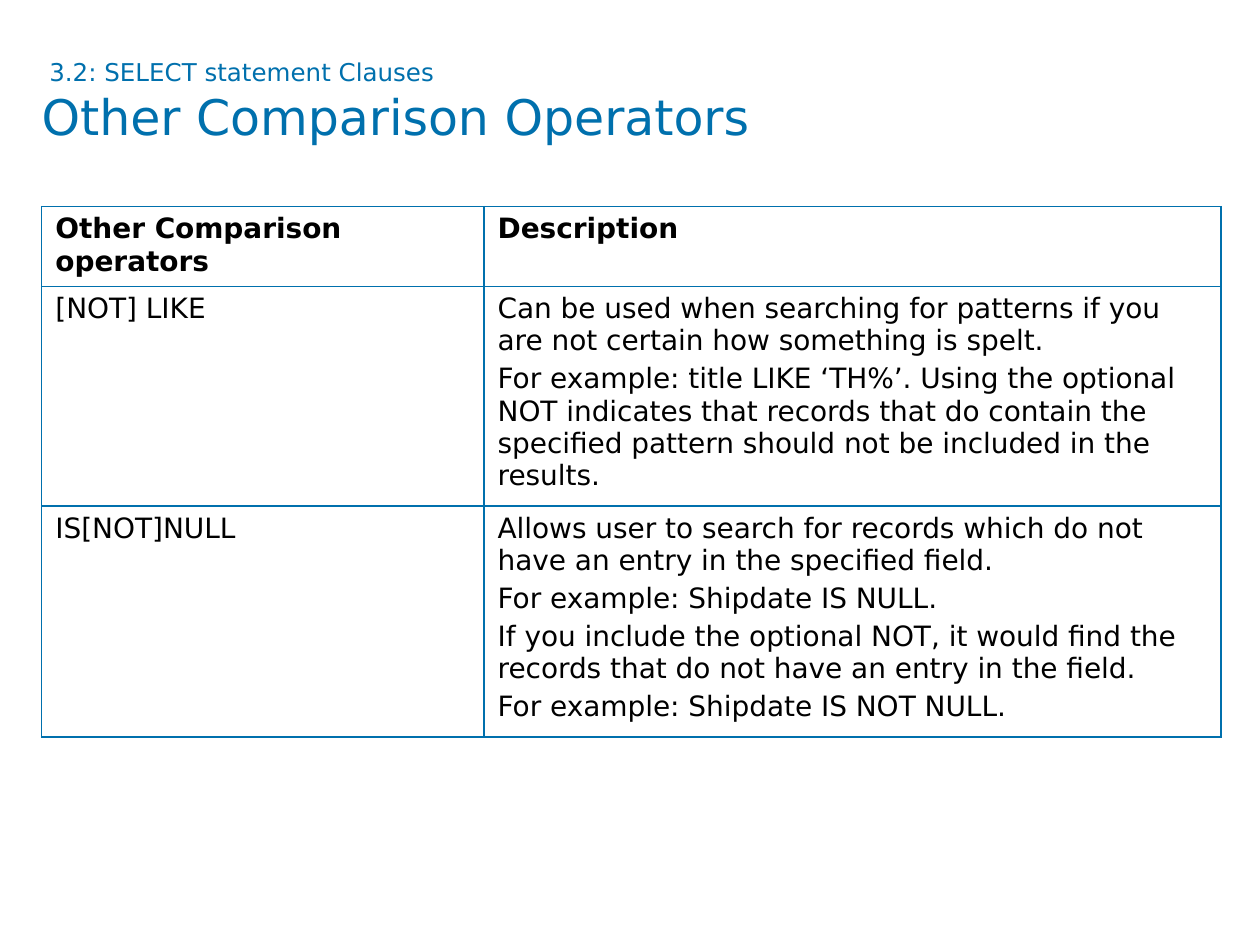
from lxml.etree import SubElement
from pptx import Presentation
from pptx.dml.color import RGBColor
from pptx.oxml.ns import qn
from pptx.util import Inches, Pt

COLORS = {"blue": "0070AD", "black": "000000"}
FONT = "DejaVu Sans"
TITLE = [(" 3.2: SELECT statement Clauses", 14), ("Other Comparison Operators", 28)]
ROWS = [
    (["Other Comparison operators"], ["Description"]),
    (["[NOT] LIKE"], [
        "Can be used when searching for patterns if you are not certain how something is spelt.",
        "For example: title LIKE ‘TH%’. Using the optional NOT indicates that records "
        "that do contain the specified pattern should not be included in the results.",
    ]),
    (["IS[NOT]NULL"], [
        "Allows user to search for records which do not have an entry in the specified field.",
        "For example: Shipdate IS NULL.",
        "If you include the optional NOT, it would find the records that do not have "
        "an entry in the field.",
        "For example: Shipdate IS NOT NULL.",
    ]),
]
WIDTHS = [3.51, 5.85]
HEIGHTS = [0.61, 1.68, 1.78]
LEFT = 0.33
INSETS = {"margin_left": 0.11, "margin_right": 0.11, "margin_top": 0.05, "margin_bottom": 0.05}


def write(para, text, size, color, bold=False):
    run = para.add_run()
    run.text = text
    for name, value in {"name": FONT, "size": Pt(size), "bold": bold}.items():
        setattr(run.font, name, value)
    run.font.color.rgb = RGBColor.from_string(COLORS[color])


def border(cell):
    props = cell._tc.get_or_add_tcPr()
    for tag in ("a:lnL", "a:lnR", "a:lnT", "a:lnB"):
        line = SubElement(props, qn(tag), w=str(Pt(1)))
        fill = SubElement(line, qn("a:solidFill"))
        SubElement(fill, qn("a:srgbClr"), val=COLORS["blue"])


def add_title(slide):
    box = slide.shapes.add_textbox(Inches(LEFT), Inches(0.45), Inches(9.33), Inches(0.94))
    frame = box.text_frame
    frame.word_wrap = True
    for side in INSETS:
        setattr(frame, side, 0)
    para = frame.paragraphs[0]
    for i, (text, size) in enumerate(TITLE):
        if i:
            para.add_line_break()
        write(para, text, size, "blue")


def add_grid(slide):
    table = slide.shapes.add_table(
        len(ROWS), len(WIDTHS), Inches(LEFT), Inches(1.64),
        Inches(sum(WIDTHS)), Inches(sum(HEIGHTS))).table
    table.horz_banding = False
    for col, width in zip(table.columns, WIDTHS):
        col.width = Inches(width)
    for r, (row, height) in enumerate(zip(ROWS, HEIGHTS)):
        table.rows[r].height = Inches(height)
        for c, texts in enumerate(row):
            cell = table.cell(r, c)
            for side, inset in INSETS.items():
                setattr(cell, side, Inches(inset))
            border(cell)
            cell.fill.background()
            frame = cell.text_frame
            for i, text in enumerate(texts):
                para = frame.add_paragraph() if i else frame.paragraphs[0]
                para.space_before = Pt(3.2)
                write(para, text, 16, "black", r == 0)


def main():
    deck = Presentation()
    deck.slide_width, deck.slide_height = Inches(10), Inches(7.5)
    slide = deck.slides.add_slide(deck.slide_layouts[6])
    add_title(slide)
    add_grid(slide)
    deck.save("out.pptx")


if __name__ == "__main__":
    main()
